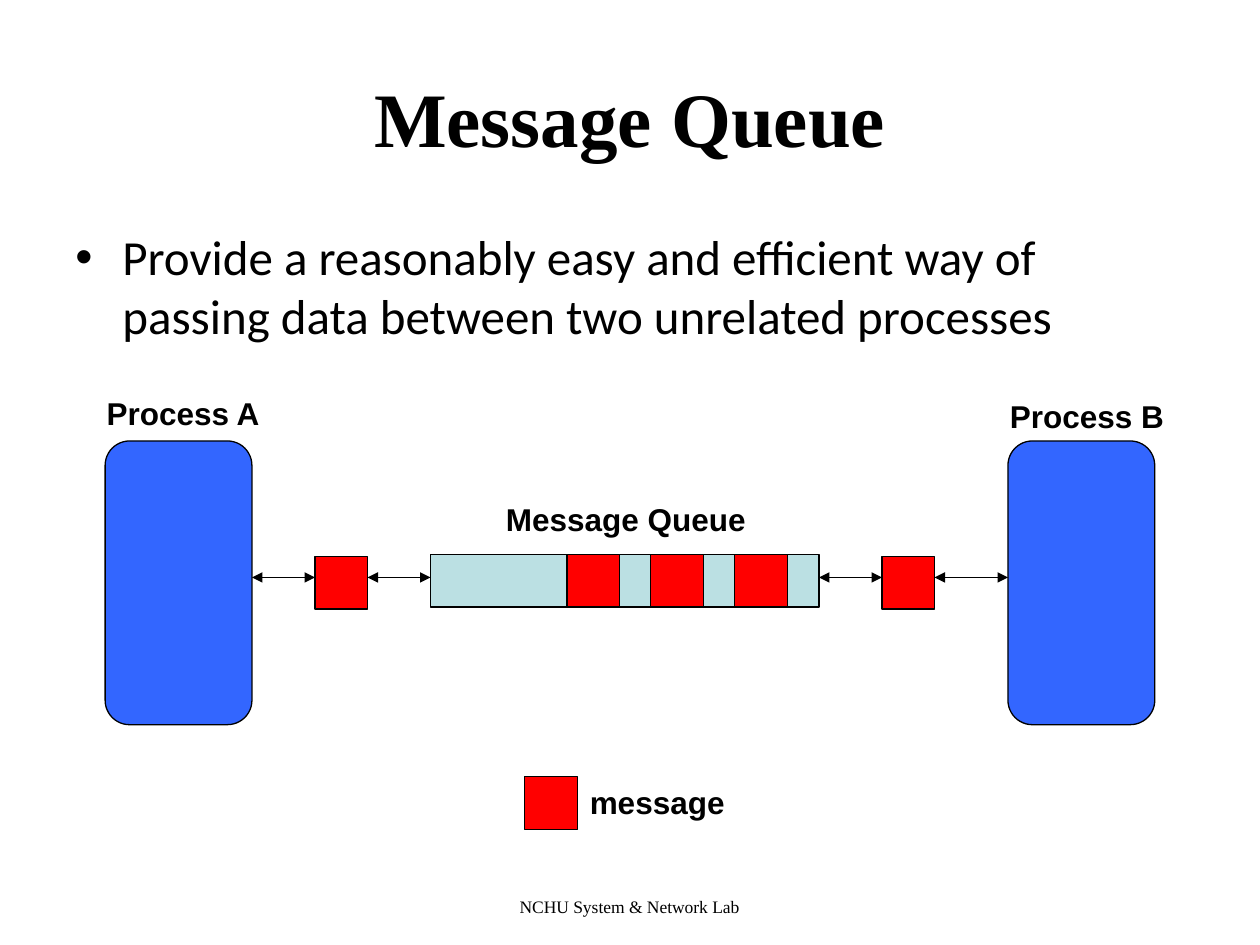
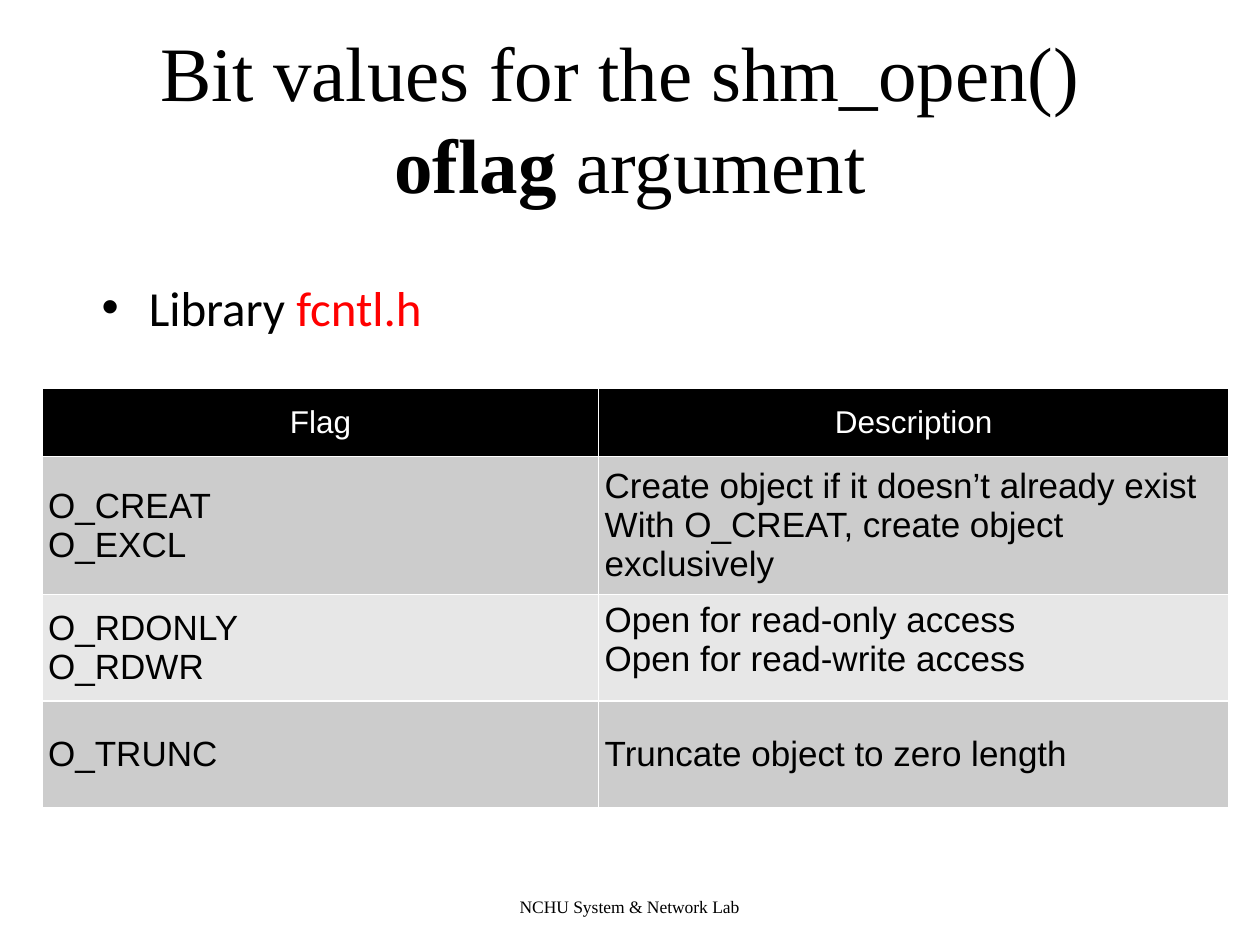
import itertools
from dataclasses import dataclass

import lxml.etree
import pptx
import pptx.dml.color
import pptx.enum.shapes
import pptx.enum.text
import pptx.oxml.ns
import pptx.shapes.autoshape
import pptx.slide
import pptx.table
import pptx.text.text
import pptx.util

Cm = pptx.util.Cm
Pt = pptx.util.Pt
Align = pptx.enum.text.PP_ALIGN
Anchor = pptx.enum.text.MSO_ANCHOR
ShapeType = pptx.enum.shapes.MSO_SHAPE
qn = pptx.oxml.ns.qn

COLORS = {
    "text": "000000",
    "inverse": "FFFFFF",
    "process": "3366FF",
    "queue": "BBE0E3",
    "message": "FF0000",
    "highlight": "FF0000",
    "header": "000000",
    "odd_row": "CCCCCC",
    "even_row": "E7E7E7",
}
TITLE_FONT, BODY_FONT, LABEL_FONT = "Times New Roman", "Calibri", "Arial"
FOOTER = "NCHU System & Network Lab"
LINE_WIDTH = Pt(0.75)


@dataclass(frozen=True)
class Box:
    """A rectangle in centimetres."""
    left: float
    top: float
    width: float
    height: float

    @property
    def right(self) -> float:
        return self.left + self.width

    def lengths(self) -> tuple:
        return Cm(self.left), Cm(self.top), Cm(self.width), Cm(self.height)


@dataclass(frozen=True)
class Block:
    """A filled block of the diagram."""
    box: Box
    color: str
    kind: int = ShapeType.RECTANGLE


@dataclass(frozen=True)
class Label:
    text: str
    box: Box


@dataclass(frozen=True)
class FlagRow:
    flags: tuple[str, ...]
    descriptions: tuple[str, ...]
    description_anchor: int = Anchor.MIDDLE


TITLE_BOX = Box(1.27, 0.76, 22.86, 3.18)
FOOTER_BOX = Box(7.29, 17.93, 10.8, 0.61)


def rgb(name: str) -> pptx.dml.color.RGBColor:
    return pptx.dml.color.RGBColor.from_string(COLORS[name])


# Text
def write_text(paragraph: pptx.text.text._Paragraph, text: str, *, size: float,
               font: str, color: str = "text", bold: bool = False) -> None:
    for index, line in enumerate(text.split("\n")):
        if index:
            paragraph.add_line_break()
        if line:
            run = paragraph.add_run()
            run.text = line
            run.font.size = Pt(size)
            run.font.name = font
            run.font.bold = bold
            run.font.color.rgb = rgb(color)


def add_text_box(slide: pptx.slide.Slide, box: Box, alignment: int = Align.LEFT,
                 anchor: int = Anchor.TOP) -> pptx.text.text._Paragraph:
    frame = slide.shapes.add_textbox(*box.lengths()).text_frame
    frame.word_wrap = True
    frame.vertical_anchor = anchor
    paragraph = frame.paragraphs[0]
    paragraph.alignment = alignment
    return paragraph


def add_title(slide: pptx.slide.Slide, *runs: tuple[str, bool]) -> None:
    paragraph = add_text_box(slide, TITLE_BOX, Align.CENTER, Anchor.MIDDLE)
    for text, bold in runs:
        write_text(paragraph, text, size=44, font=TITLE_FONT, bold=bold)


def add_bullet(slide: pptx.slide.Slide, box: Box, *runs: tuple[str, str]) -> None:
    paragraph = add_text_box(slide, box)
    properties = paragraph._p.get_or_add_pPr()
    properties.set("marL", str(Cm(0.95)))
    properties.set("indent", str(-Cm(0.95)))
    lxml.etree.SubElement(properties, qn("a:buFont"), typeface="Arial")
    lxml.etree.SubElement(properties, qn("a:buChar"), char="•")
    for text, color in runs:
        write_text(paragraph, text, size=28, font=BODY_FONT, color=color)


def add_base_slide(presentation) -> pptx.slide.Slide:
    slide = presentation.slides.add_slide(presentation.slide_layouts[6])
    paragraph = add_text_box(slide, FOOTER_BOX, Align.CENTER)
    write_text(paragraph, FOOTER, size=10, font=TITLE_FONT)
    return slide


# Diagram parts
def add_block(slide: pptx.slide.Slide, block: Block) -> None:
    shape = slide.shapes.add_shape(block.kind, *block.box.lengths())
    shape.shadow.inherit = False
    shape.fill.solid()
    shape.fill.fore_color.rgb = rgb(block.color)
    shape.line.color.rgb = rgb("text")
    shape.line.width = LINE_WIDTH


def add_double_arrow(slide: pptx.slide.Slide, start: float, end: float, height: float) -> None:
    connector = slide.shapes.add_connector(
        pptx.enum.shapes.MSO_CONNECTOR.STRAIGHT, Cm(start), Cm(height), Cm(end), Cm(height))
    connector.line.color.rgb = rgb("text")
    connector.line.width = LINE_WIDTH
    properties = connector._element.spPr
    outline = properties.get_or_add_ln()
    for end_tag in ("a:headEnd", "a:tailEnd"):
        lxml.etree.SubElement(outline, qn(end_tag), type="triangle")
    lxml.etree.SubElement(properties, qn("a:effectLst"))


def message_at(left: float, top: float) -> Block:
    return Block(Box(left, top, 1.06, 1.06), "message")


# Table parts
def add_cell_borders(cell: pptx.table._Cell) -> None:
    properties = cell._tc.get_or_add_tcPr()
    for side in "LRTB":
        border = lxml.etree.SubElement(properties, qn(f"a:ln{side}"), w=str(Pt(1)))
        fill = lxml.etree.SubElement(border, qn("a:solidFill"))
        lxml.etree.SubElement(fill, qn("a:srgbClr"), val=COLORS["inverse"])


def fill_cell(cell: pptx.table._Cell, lines: tuple[str, ...], *, fill: str,
              size: float = 20, color: str = "text", alignment: int = Align.LEFT,
              anchor: int = Anchor.MIDDLE) -> None:
    add_cell_borders(cell)
    cell.fill.solid()
    cell.fill.fore_color.rgb = rgb(fill)
    cell.vertical_anchor = anchor
    cell.margin_left = cell.margin_right = cell.margin_top = cell.margin_bottom = Cm(0.12)
    frame = cell.text_frame
    for index, line in enumerate(lines):
        paragraph = frame.add_paragraph() if index else frame.paragraphs[0]
        paragraph.alignment = alignment
        write_text(paragraph, line, size=size, font=LABEL_FONT, color=color)


# Slides
def build_queue_slide(presentation) -> None:
    slide = add_base_slide(presentation)
    add_title(slide, ("Message Queue", True))
    add_bullet(slide, Box(1.27, 4.45, 22.86, 12.57), (
        "Provide a reasonably easy and efficient way of passing data "
        "between two unrelated processes", "text"))

    # Stations from left to right, joined by arrows
    process_a, process_b = (
        Block(Box(left, 8.89, 2.96, 5.72), "process", ShapeType.ROUNDED_RECTANGLE)
        for left in (2.12, 20.32))
    queue = Block(Box(8.68, 11.18, 7.83, 1.06), "queue")
    stations = [process_a, message_at(6.35, 11.22), queue,
                message_at(17.78, 11.22), process_b]
    queued = [message_at(11.43 + 1.69 * place, queue.box.top) for place in range(3)]
    legend = message_at(10.58, 15.66)
    for block in [*stations, *queued, legend]:
        add_block(slide, block)
    for before, after in itertools.pairwise(stations):
        add_double_arrow(slide, before.box.right, after.box.left, 11.64)

    labels = [
        Label("Process A", Box(1.9, 7.82, 4.66, 1.02)),
        Label("Process B", Box(20.11, 7.87, 4.66, 1.02)),
        Label("Message Queue", Box(9.95, 9.95, 5.5, 1.02)),
        Label("message", Box(11.64, 15.66, 3.6, 1.02)),
    ]
    for label in labels:
        write_text(add_text_box(slide, label.box), label.text,
                   size=18, font=LABEL_FONT, bold=True)


def build_flags_slide(presentation) -> None:
    slide = add_base_slide(presentation)
    add_title(slide, ("Bit values for the shm_open() \n", False),
              ("oflag", True), (" argument", False))

    rows = [
        FlagRow(("O_CREAT", "O_EXCL"),
                ("Create object if it doesn’t already exist",
                 "With O_CREAT, create object exclusively")),
        FlagRow(("O_RDONLY", "O_RDWR"),
                ("Open for read-only access", "Open for read-write access"), Anchor.TOP),
        FlagRow(("O_TRUNC",), ("Truncate object to zero length",)),
    ]
    box = Box(0.85, 7.83, 23.92, 7.85)
    table = slide.shapes.add_table(len(rows) + 1, 2, *box.lengths()).table
    for column, width in zip(table.columns, (11.22, 12.7)):
        column.width = Cm(width)
    for index, row in enumerate(table.rows):
        row.height = Cm(2.15 if index else 1.37)

    for column, heading in enumerate(("Flag", "Description")):
        fill_cell(table.cell(0, column), (heading,), fill="header", size=18,
                  color="inverse", alignment=Align.CENTER)
    for index, row in enumerate(rows, start=1):
        fill = "odd_row" if index % 2 else "even_row"
        fill_cell(table.cell(index, 0), row.flags, fill=fill)
        fill_cell(table.cell(index, 1), row.descriptions, fill=fill,
                  anchor=row.description_anchor)

    add_bullet(slide, Box(1.8, 5.46, 22.86, 3.18),
               ("Library ", "text"), ("fcntl.h", "highlight"))


def main() -> None:
    presentation = pptx.Presentation()
    presentation.slide_width = Cm(25.4)
    presentation.slide_height = Cm(19.05)
    build_queue_slide(presentation)
    build_flags_slide(presentation)
    presentation.save("out.pptx")


if __name__ == "__main__":
    main()
